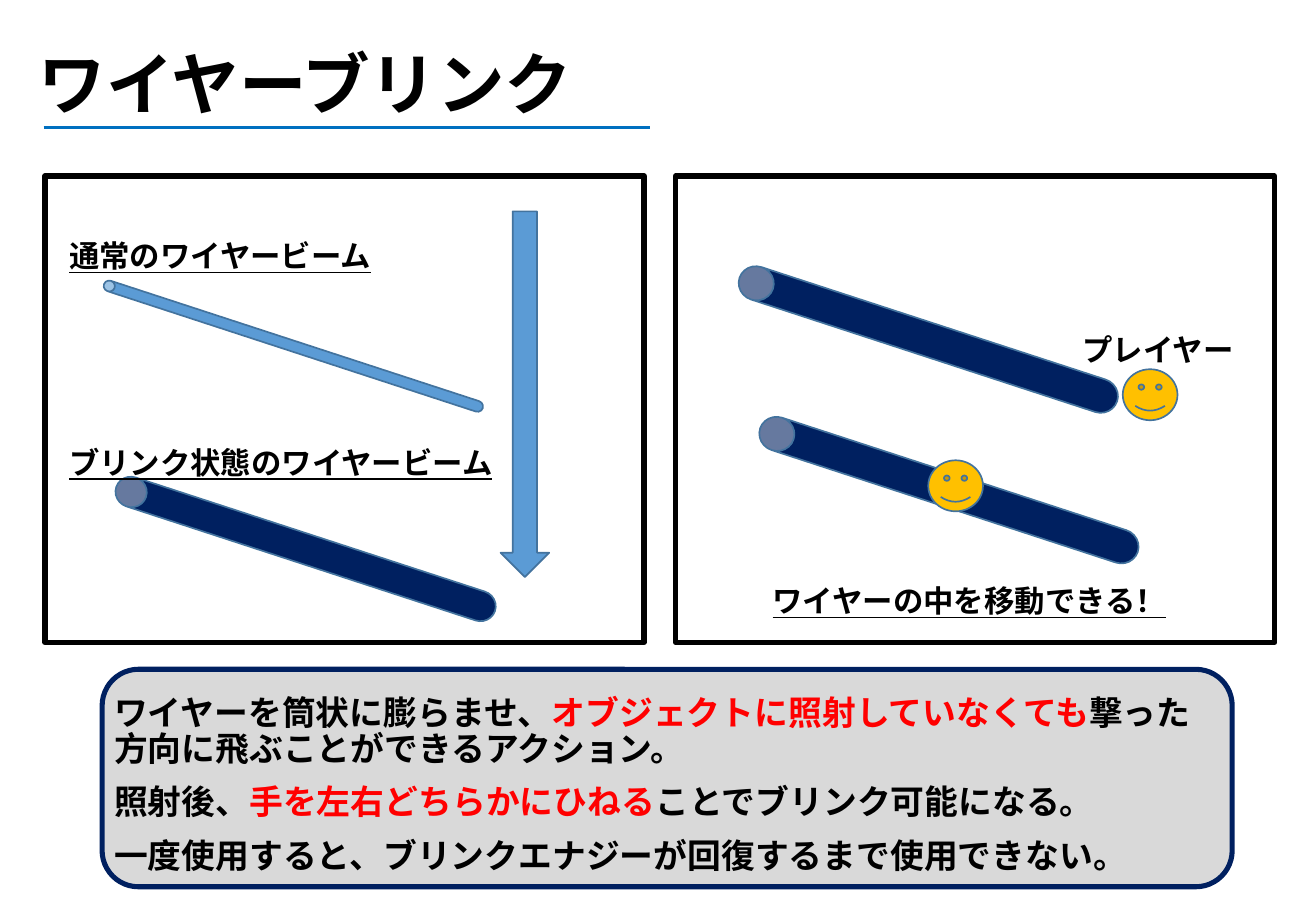
from lxml.etree import SubElement
from pptx import Presentation
from pptx.dml.color import RGBColor
from pptx.enum.shapes import MSO_CONNECTOR, MSO_SHAPE
from pptx.enum.text import MSO_ANCHOR, MSO_AUTO_SIZE, PP_ALIGN
from pptx.oxml.ns import qn
from pptx.util import Inches, Pt

WIDTH, HEIGHT = Inches(10.83), Inches(7.5)
FONT = "Noto Sans CJK JP"
COLORS = {
    "black": "000000",
    "red": "FF0000",
    "rule": "0070C0",
    "navy": "002060",
    "beam": "5B9BD5",
    "outline": "43739E",
    "panel": "D9D9D9",
    "face": "FFC000",
}
BEAM_ANGLE = 288.1
FACE_SIZE = (4.16, 5.6)
FRAME_TOP, FRAME_SIZE = 19.33, (45.52, 51.2)
LABEL_HEIGHT = 4.8


def color(name):
    return RGBColor.from_string(COLORS[name])


def across(percent):
    return round(WIDTH * percent / 100)


def down(percent):
    return round(HEIGHT * percent / 100)


def area(left, top, width, height):
    return across(left), down(top), across(width), down(height)


def add_figure(slide, preset, place, fill=None, line="outline", weight=1):
    figure = slide.shapes.add_shape(preset, *area(*place))
    figure.shadow.inherit = False
    if fill:
        figure.fill.solid()
        figure.fill.fore_color.rgb = color(fill)
    else:
        figure.fill.background()
    figure.line.color.rgb = color(line)
    figure.line.width = Pt(weight)
    return figure


def add_beam(slide, place, fill):
    beam = add_figure(slide, MSO_SHAPE.CAN, place, fill)
    beam.adjustments[0] = 1.034
    beam.rotation = BEAM_ANGLE


def add_face(slide, left, top):
    add_figure(slide, MSO_SHAPE.SMILEY_FACE, (left, top, *FACE_SIZE), "face")


def add_frame(slide, left):
    place = (left, FRAME_TOP, *FRAME_SIZE)
    add_figure(slide, MSO_SHAPE.RECTANGLE, place, line="black", weight=3)


def write_paragraph(paragraph, pieces, size, before=10, underline=False):
    paragraph.alignment = PP_ALIGN.LEFT
    paragraph.line_spacing = 0.9
    paragraph.space_before = Pt(before)
    font = paragraph.font
    font.size = Pt(size)
    font.bold = True
    font.underline = underline
    font.color.rgb = color("black")
    font.name = FONT
    for defaults in paragraph._p.iter(qn("a:defRPr")):
        SubElement(defaults, qn("a:ea")).set("typeface", FONT)
    for wording, tint in pieces:
        run = paragraph.add_run()
        run.text = wording
        if tint != "black":
            run.font.color.rgb = color(tint)


def add_text(slide, place, paragraphs, size, underline=False):
    frame = slide.shapes.add_textbox(*area(*place)).text_frame
    frame.word_wrap = True
    for index, pieces in enumerate(paragraphs):
        paragraph = frame.add_paragraph() if index else frame.paragraphs[0]
        write_paragraph(paragraph, pieces, size, underline=underline)


def add_label(slide, left, top, width, wording, underline=True):
    place = (left, top, width, LABEL_HEIGHT)
    add_text(slide, place, [[(wording, "black")]], 18, underline)


def add_heading(slide, wording):
    title = slide.shapes.title
    title.left, title.top, title.width, title.height = area(2.03, 2.67, 62.51, 13.87)
    frame = title.text_frame
    frame.word_wrap = True
    frame.auto_size = MSO_AUTO_SIZE.NONE
    frame.vertical_anchor = MSO_ANCHOR.MIDDLE
    write_paragraph(frame.paragraphs[0], [(wording, "black")], 40, before=0)
    rule = slide.shapes.add_connector(
        MSO_CONNECTOR.STRAIGHT, across(3.32), down(14), across(49.4), down(14)
    )
    rule.line.color.rgb = color("rule")
    rule.line.width = Pt(1.5)
    SubElement(rule._element.spPr, qn("a:effectLst"))


def add_explanation(slide):
    add_figure(slide, MSO_SHAPE.ROUNDED_RECTANGLE,
               (7.76, 73.47, 85.87, 23.87), "panel", "navy", 3)
    add_text(slide, (7.76, 75.73, 84.03, 21.47), [
        [("ワイヤーを筒状に膨らませ、", "black"),
         ("オブジェクトに照射していなくても", "red"),
         ("撃った方向に飛ぶことができるアクション。", "black")],
        [("照射後、", "black"),
         ("手を左右どちらかにひねる", "red"),
         ("ことでブリンク可能になる。", "black")],
        [("一度使用すると、ブリンクエナジーが回復するまで使用できない。", "black")],
    ], 20)


def add_beam_states(slide):
    add_frame(slide, 3.42)
    add_beam(slide, (22.07, 38.4, 2.31, 43.73), "navy")
    add_beam(slide, (21.88, 16.13, 0.83, 43.73), "beam")
    add_figure(slide, MSO_SHAPE.DOWN_ARROW, (38.04, 23.2, 3.69, 40.13), "beam")
    add_label(slide, 4.34, 25.87, 29.55, "通常のワイヤービーム")
    add_label(slide, 4.34, 48.53, 36.66, "ブリンク状態のワイヤービーム")


def add_player_moves(slide):
    add_frame(slide, 51.34)
    for left, top in ((69.25, 15.47), (70.82, 32)):
        add_beam(slide, (left, top, 2.59, 43.6), "navy")
    add_face(slide, 70.54, 50.53)
    add_face(slide, 85.32, 40.53)
    add_label(slide, 81.35, 36.13, 14.22, "プレイヤー", underline=False)
    add_label(slide, 57.8, 63.73, 33.7, "ワイヤーの中を移動できる！")


def main():
    deck = Presentation()
    deck.slide_width, deck.slide_height = WIDTH, HEIGHT
    slide = deck.slides.add_slide(deck.slide_layouts[5])
    add_heading(slide, "ワイヤーブリンク")
    add_explanation(slide)
    add_beam_states(slide)
    add_player_moves(slide)
    deck.save("out.pptx")


if __name__ == "__main__":
    main()
